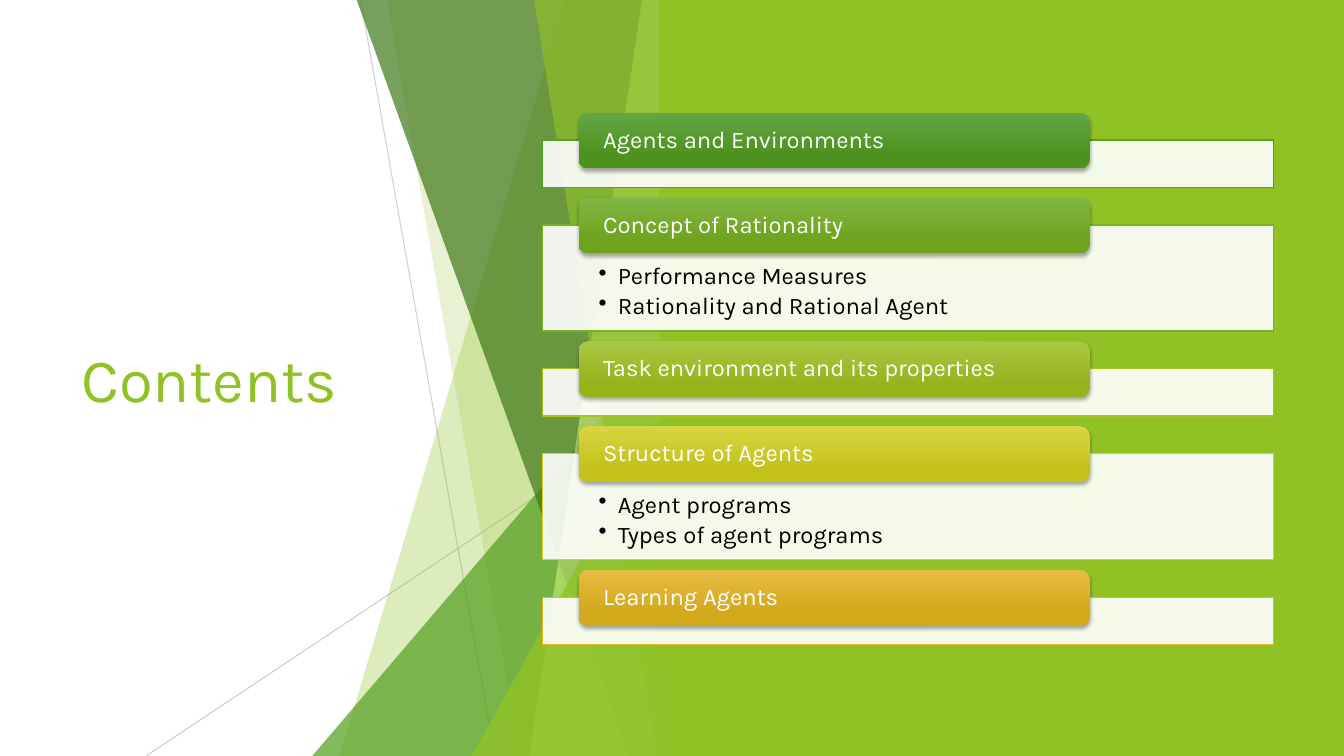
from lxml.etree import SubElement
from pptx import Presentation
from pptx.dml.color import RGBColor
from pptx.enum.shapes import MSO_CONNECTOR, MSO_SHAPE
from pptx.enum.text import MSO_ANCHOR, PP_ALIGN
from pptx.oxml.ns import qn
from pptx.util import Cm, Pt

FONT = "Karla"
GREEN = "90C226"
TITLE = "Contents"

# heading, bullets, outline, gradient top, gradient bottom
SECTIONS = [
    ("Agents and Environments", [], "54A021", "63A545", "4D921E"),
    ("Concept of Rationality",
     ["Performance Measures", "Rationality and Rational Agent"],
     "79B220", "82B644", "6EA31D"),
    ("Task environment and its properties", [], "A5C41F", "AAC744", "97B31C"),
    ("Structure of Agents",
     ["Agent programs", "Types of agent programs"],
     "D7D31D", "D8D543", "C4C11A"),
    ("Learning Agents", [], "E6B91E", "E7BC43", "D2A91B"),
]

# start x, start y, end x, end y, opacity (cm, percent)
THIN_LINES = [
    (9.09, 0, 12.47, 19.05, 75),
    (16.92, 10.24, 3.68, 19.05, 80),
]

# top-left x, bottom-left x, colour, opacity; all reach the same right edge
# a top-left x of None makes a triangle whose apex lies at the given height
FACETS = [
    (14.25, 8.56, GREEN, 30, 0),
    (9.75, 13.11, GREEN, 20, 0),
    (None, 7.87, "54A021", 72, 8.46),
    (8.99, 15.85, "3F7819", 70, 0),
    (16.18, 13.34, "C0E474", 70, 0),
    (13.46, 16.54, GREEN, 65, 0),
    (None, 11.89, GREEN, 80, 9.98),
]

SLIDE_WIDTH, SLIDE_HEIGHT = 33.87, 19.05
FACET_RIGHT = 16.92
BAND_LEFT = 16.61
PANEL_LEFT, PANEL_WIDTH, PANEL_GAP = 13.67, 18.42, 0.95
PANEL_HEIGHT, BULLET_PANEL_HEIGHT = 1.19, 2.67
HEADER_LEFT, HEADER_WIDTH, HEADER_HEIGHT, HEADER_RISE = 14.58, 12.88, 1.4, 0.69
FIRST_PANEL_TOP = 3.53


def rgb(color):
    return RGBColor.from_string(color)


def paint(shape, fill, color, opacity=100):
    """Give a solid colour to the first fill (or, on a connector, the line)."""
    fill.solid()
    fill.fore_color.rgb = rgb(color)
    if opacity < 100:
        color_element = shape.element.spPr.xpath(".//a:srgbClr")[0]
        SubElement(color_element, qn("a:alpha"), val=str(opacity * 1000))


def add_block(slide, kind, left, top, width, height):
    shape = slide.shapes.add_shape(kind, Cm(left), Cm(top), Cm(width), Cm(height))
    shape.shadow.inherit = False
    shape.line.fill.background()
    return shape


def add_thin_line(slide, start_x, start_y, end_x, end_y, opacity):
    line = slide.shapes.add_connector(
        MSO_CONNECTOR.STRAIGHT, Cm(start_x), Cm(start_y), Cm(end_x), Cm(end_y))
    line.line.width = Pt(0.75)
    paint(line, line.line.fill, "BFBFBF", opacity)
    SubElement(line.element.spPr, qn("a:effectLst"))


def add_facet(slide, top_x, bottom_x, color, opacity, top):
    if top_x is None:
        facet = add_block(slide, MSO_SHAPE.ISOSCELES_TRIANGLE, bottom_x, top,
                          FACET_RIGHT - bottom_x, SLIDE_HEIGHT - top)
        facet.adjustments[0] = 1
    else:
        outline = slide.shapes.build_freeform(Cm(top_x), Cm(top))
        outline.add_line_segments([
            (Cm(FACET_RIGHT), Cm(top)),
            (Cm(FACET_RIGHT), Cm(SLIDE_HEIGHT)),
            (Cm(bottom_x), Cm(SLIDE_HEIGHT)),
        ])
        facet = outline.convert_to_shape()
        facet.shadow.inherit = False
        facet.line.fill.background()
    paint(facet, facet.fill, color, opacity)


def set_text(shape, lines, size, color, anchor, margins=None):
    """Write left-aligned lines; margins are left, top, right, bottom in cm."""
    frame = shape.text_frame
    frame.word_wrap = True
    frame.vertical_anchor = anchor
    if margins:
        (frame.margin_left, frame.margin_top,
         frame.margin_right, frame.margin_bottom) = map(Cm, margins)
    frame.text = "\n".join(lines)
    for paragraph in frame.paragraphs:
        paragraph.alignment = PP_ALIGN.LEFT
        paragraph.font.name = FONT
        paragraph.font.size = Pt(size)
        paragraph.font.color.rgb = rgb(color)
    return frame.paragraphs


def add_panel(slide, top, height, bullets, color):
    panel = add_block(slide, MSO_SHAPE.RECTANGLE, PANEL_LEFT, top, PANEL_WIDTH, height)
    paint(panel, panel.fill, "FFFFFF", 90)
    panel.line.color.rgb = rgb(color)
    panel.line.width = Pt(1)
    if not bullets:
        return
    for paragraph in set_text(panel, bullets, 17, "000000", MSO_ANCHOR.TOP,
                              (1.42, 0.99, 1.42, 0.33)):
        paragraph.line_spacing = 0.9
        paragraph.space_after = Pt(3)
        properties = paragraph._p.get_or_add_pPr()
        properties.set("marL", str(Cm(0.48)))
        properties.set("indent", str(Cm(-0.48)))
        bullet = properties.makeelement(qn("a:buChar"), {"char": "•"})
        properties.find(qn("a:defRPr")).addprevious(bullet)


def add_header(slide, top, heading, top_color, bottom_color):
    header = add_block(slide, MSO_SHAPE.ROUNDED_RECTANGLE, HEADER_LEFT, top,
                       HEADER_WIDTH, HEADER_HEIGHT)
    header.fill.gradient()
    header.fill.gradient_angle = 270
    for stop, color, position in zip(header.fill.gradient_stops,
                                     (top_color, bottom_color), (0, 0.78)):
        stop.color.rgb = rgb(color)
        stop.position = position
    effects = header.element.spPr.find(qn("a:effectLst"))
    shadow = SubElement(effects, qn("a:outerShdw"), blurRad=str(Pt(3)),
                        dist=str(Pt(2)), dir="5400000", rotWithShape="0")
    shadow_color = SubElement(shadow, qn("a:srgbClr"), val="000000")
    SubElement(shadow_color, qn("a:alpha"), val="35000")
    paragraph = set_text(header, [heading], 17, "FFFFFF", MSO_ANCHOR.MIDDLE,
                         (0.55, 0.07, 0.55, 0.07))[0]
    paragraph.line_spacing = 0.9


def main():
    presentation = Presentation()
    presentation.slide_width = Cm(SLIDE_WIDTH)
    presentation.slide_height = Cm(SLIDE_HEIGHT)
    slide = presentation.slides.add_slide(presentation.slide_layouts[6])

    title = slide.shapes.add_textbox(Cm(1.8), Cm(3.84), Cm(9.86), Cm(11.38))
    set_text(title, [TITLE], 44, GREEN, MSO_ANCHOR.MIDDLE)

    for thin_line in THIN_LINES:
        add_thin_line(slide, *thin_line)
    for facet in FACETS:
        add_facet(slide, *facet)
    band = add_block(slide, MSO_SHAPE.RECTANGLE, BAND_LEFT, 0,
                     SLIDE_WIDTH - BAND_LEFT, SLIDE_HEIGHT)
    paint(band, band.fill, GREEN)

    top = FIRST_PANEL_TOP
    for heading, bullets, outline, top_color, bottom_color in SECTIONS:
        height = BULLET_PANEL_HEIGHT if bullets else PANEL_HEIGHT
        add_panel(slide, top, height, bullets, outline)
        add_header(slide, top - HEADER_RISE, heading, top_color, bottom_color)
        top += height + PANEL_GAP

    presentation.save("out.pptx")


if __name__ == "__main__":
    main()
